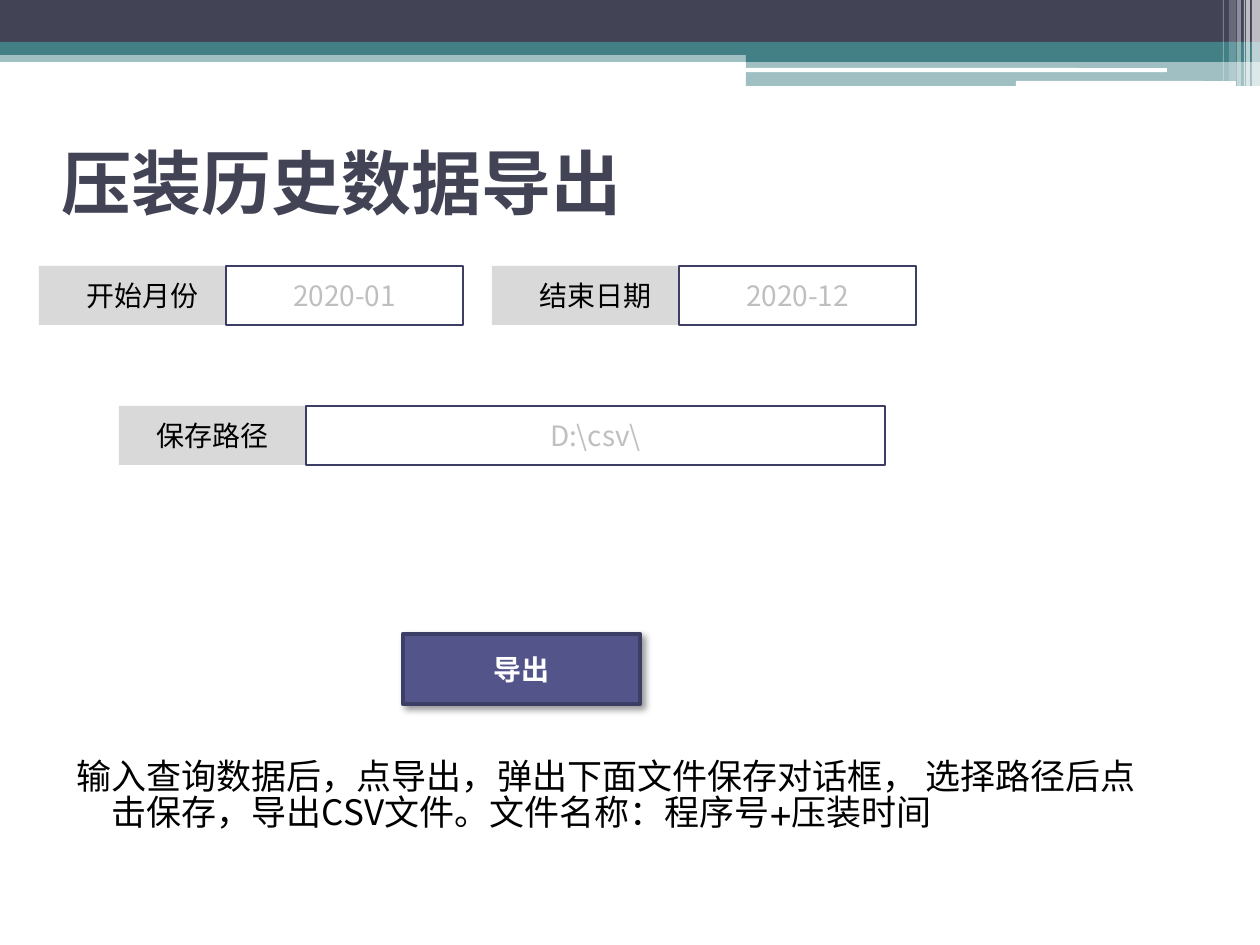
from lxml import etree
from pptx import Presentation
from pptx.dml.color import RGBColor
from pptx.enum.shapes import MSO_SHAPE
from pptx.enum.text import MSO_ANCHOR, PP_ALIGN
from pptx.oxml.ns import qn
from pptx.util import Emu, Pt

PX = 914400 // 126
COLORS = {
    "navy": "424456", "teal": "438086", "white": "FFFFFF", "black": "000000",
    "label": "D9D9D9", "hint": "BFBFBF", "border": "3D3E66", "button": "53548A",
}
SANS, SERIF = "Noto Sans CJK SC", "TeX Gyre Schola"


def px(*values):
    return [Emu(v * PX) for v in values]


def rgb(name):
    return RGBColor.from_string(COLORS[name])


def sub(parent, tag, **attrs):
    return etree.SubElement(parent, qn(tag), {k: str(v) for k, v in attrs.items()})


def add_run(paragraph, text, size, color, bold=False, font=SANS):
    run = paragraph.add_run()
    run.text = text
    run.font.size, run.font.bold, run.font.name = Pt(size), bold, font
    run.font.color.rgb = rgb(color)
    sub(run.font._element, "a:ea", typeface=font)


def add_box(slide, box, fill, alpha=100, line=None, width=1.5, kind=MSO_SHAPE.RECTANGLE):
    shape = slide.shapes.add_shape(kind, *px(*box))
    shape.shadow.inherit = False
    shape.fill.solid()
    shape.fill.fore_color.rgb = rgb(fill)
    if alpha < 100:
        color = shape._element.spPr.find(qn("a:solidFill"))[0]
        sub(color, "a:alpha", val=alpha * 1000)
    if line:
        shape.line.color.rgb = rgb(line)
        shape.line.width = Pt(width)
    else:
        shape.line.fill.background()
    return shape


def add_caption(shape, text, color, bold=False):
    shape.text_frame.vertical_anchor = MSO_ANCHOR.MIDDLE
    paragraph = shape.text_frame.paragraphs[0]
    paragraph.alignment = PP_ALIGN.CENTER
    add_run(paragraph, text, 16, color, bold)


def add_banner(slide, x, y, width):
    # Full-width bands, then the step on the right
    step = 746
    for left, top, height, color, alpha in [
        (0, 50, 12, "teal", 50), (0, 0, 42, "navy", 100), (0, 42, 13, "teal", 100),
        (step, 49, 13, "teal", 100), (step, 61, 25, "teal", 50),
    ]:
        add_box(slide, (x + left, y + top, width - left, height), color, alpha)
    # White rules
    for left, top, length, height in [(745, 68, 422, 4), (1016, 81, 220, 5)]:
        add_box(slide, (x + left, y + top, length, height), "white",
                kind=MSO_SHAPE.ROUNDED_RECTANGLE)
    # Translucent stripes, measured from the right edge
    for from_right, stripe, height, alpha in [
        (8, 8, 86, 65), (14, 4, 86, 65), (16, 1, 86, 60),
        (23, 4, 86, 40), (31, 7, 81, 20), (37, 1, 81, 30),
    ]:
        add_box(slide, (x + width - from_right, y, stripe, height), "white", alpha)


def add_title(slide, box, text):
    title = slide.shapes.title
    title.left, title.top, title.width, title.height = px(*box)
    title.text_frame.vertical_anchor = MSO_ANCHOR.MIDDLE
    paragraph = title.text_frame.paragraphs[0]
    paragraph.alignment = PP_ALIGN.LEFT
    add_run(paragraph, text, 40, "navy", True)


def add_field(slide, box, label_width, input_left, label, hint):
    x, y, width, height = box
    add_caption(add_box(slide, (x, y, label_width, height), "label"), label, "black")
    entry = add_box(slide, (x + input_left, y, width - input_left, height), "white",
                    line="border")
    add_caption(entry, hint, "hint")


def add_button(slide, box, text):
    button = add_box(slide, box, "button", line="border", width=2.5)
    add_caption(button, text, "white", True)
    effects = button._element.spPr.find(qn("a:effectLst"))
    shadow = sub(effects, "a:outerShdw", blurRad=Pt(4), dist=Pt(3), dir=45 * 60000,
                 algn="tl", rotWithShape=0)
    sub(sub(shadow, "a:srgbClr", val=COLORS["black"]), "a:alpha", val=40000)


def add_note(slide, box, parts):
    frame = slide.shapes.add_textbox(*px(*box)).text_frame
    frame.word_wrap = True
    paragraph = frame.paragraphs[0]
    paragraph.space_before, paragraph.line_spacing = Pt(3), 0.85
    props = paragraph._p.get_or_add_pPr()
    props.set("marL", str(50 * PX))
    props.set("indent", str(-35 * PX))
    for text, font in parts:
        add_run(paragraph, text, 20, "black", font=font)


prs = Presentation()
prs.slide_width, prs.slide_height = px(1260, 945)
slide = prs.slides.add_slide(prs.slide_layouts[5])

add_banner(slide, 0, 0, 1260)
add_title(slide, (49, 108, 1134, 147), "压装历史数据导出")

# Query form
for left, label, month in [(39, "开始月份", "2020-01"), (492, "结束日期", "2020-12")]:
    add_field(slide, (left, 266, 424, 59), 207, 187, label, month)
add_field(slide, (119, 406, 766, 59), 187, 187, "保存路径", "D:\\csv\\")
add_button(slide, (403, 634, 237, 70), "导出")

add_note(slide, (49, 755, 1134, 134), [
    ("输入查询数据后，点导出，弹出下面文件保存对话框， 选择路径后点击保存，"
     "导出CSV文件。文件名称：", SANS),
    ("程序号+压装时间", SERIF),
])

prs.save("out.pptx")
